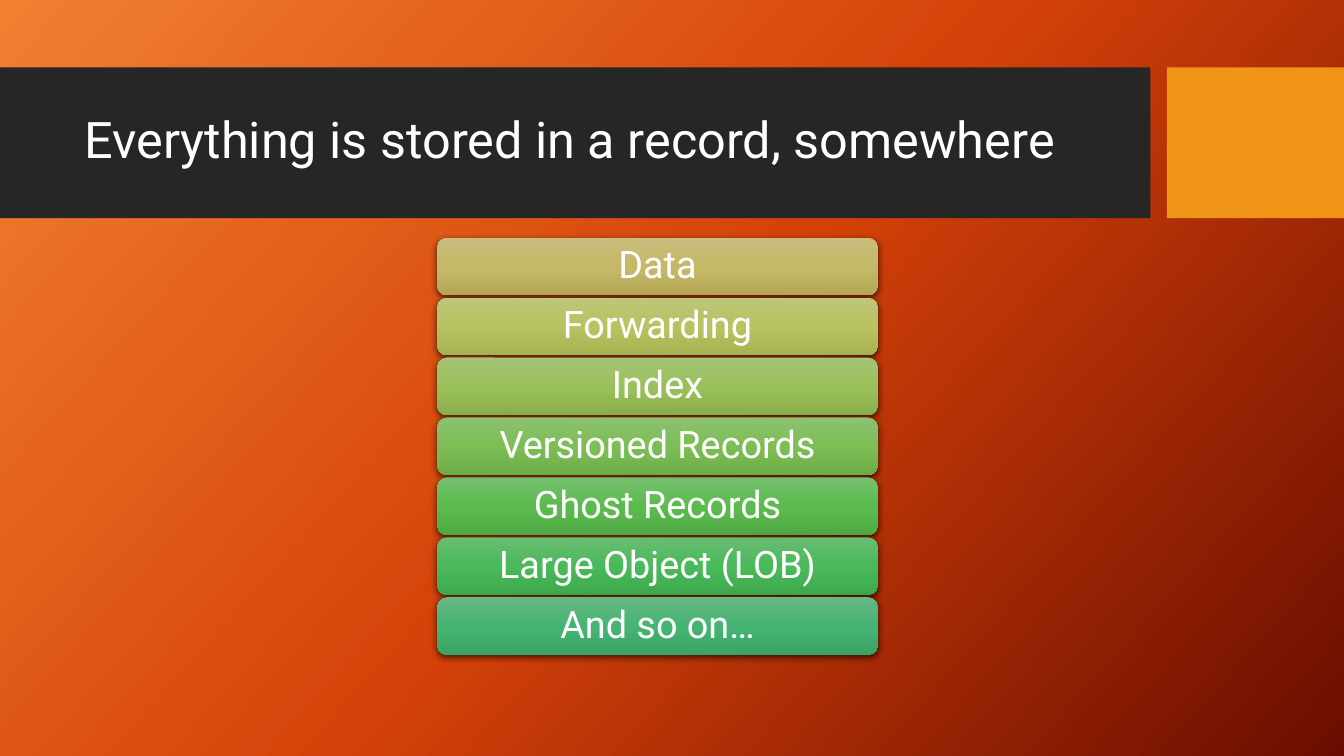
from copy import deepcopy

from lxml.etree import SubElement
from pptx import Presentation
from pptx.dml.color import RGBColor
from pptx.enum.shapes import MSO_SHAPE
from pptx.enum.text import MSO_ANCHOR, MSO_AUTO_SIZE, PP_ALIGN
from pptx.oxml.ns import qn
from pptx.util import Cm, Pt

RECORDS = [
    ("Data", ("C8BE7F", "C5B867", "B4A756")),
    ("Forwarding", ("BDC67A", "B7C361", "A7B251")),
    ("Index", ("A5C476", "9AC05B", "8AAF4D")),
    ("Versioned Records", ("8DC171", "7CBE55", "6DAD47")),
    ("Ghost Records", ("75BF6D", "5CBB4F", "4EAB42")),
    ("Large Object (LOB)", ("69BC73", "4AB95A", "3DA94C")),
    ("And so on…", ("67B884", "46B472", "3AA464")),
]
RECORD_PITCH = 1.51


def colour(value):
    return RGBColor.from_string(value)


def fill_gradient(fill, element, colours, angle):
    """Fill with three evenly spaced colours; the angle runs clockwise."""
    fill.gradient()
    fill.gradient_angle = 360 - angle
    stop_list = next(element.iter(qn("a:gsLst")))
    stop_list.append(deepcopy(stop_list[0]))
    for stop, position, value in zip(fill.gradient_stops, (0, 0.5, 1), colours):
        stop.position = position
        stop.color.rgb = colour(value)


def add_shadow(shape):
    """Cast a soft black shadow straight down."""
    shape.shadow.inherit = False
    effects = shape._element.spPr.find(qn("a:effectLst"))
    shadow = SubElement(effects, qn("a:outerShdw"), blurRad=str(Pt(4.5)),
                        dist=str(Pt(1.5)), dir="5400000", rotWithShape="0")
    black = SubElement(shadow, qn("a:srgbClr"), val="000000")
    SubElement(black, qn("a:alpha"), val="63000")


class SlideBuilder:
    font = "Roboto"
    text_colour = "FFFFFF"

    def __init__(self, slide):
        self.slide = slide

    def background(self, colours, angle):
        fill_gradient(self.slide.background.fill, self.slide._element, colours, angle)

    def shape(self, kind, left, top, width, height):
        shape = self.slide.shapes.add_shape(kind, Cm(left), Cm(top), Cm(width), Cm(height))
        shape.shadow.inherit = False
        shape.line.fill.background()
        return shape

    def block(self, left, width, fill):
        block = self.shape(MSO_SHAPE.RECTANGLE, left, 1.7, width, 3.8)
        block.fill.solid()
        block.fill.fore_color.rgb = colour(fill)

    def set_text(self, shape, text, size, alignment):
        frame = shape.text_frame
        frame.text = text
        frame.word_wrap = True
        frame.auto_size = MSO_AUTO_SIZE.NONE
        frame.vertical_anchor = MSO_ANCHOR.MIDDLE
        para = frame.paragraphs[0]
        para.alignment = alignment
        para.line_spacing = 0.9
        font = para.runs[0].font
        font.name = self.font
        font.size = Pt(size)
        font.color.rgb = colour(self.text_colour)

    def title(self, text):
        title = self.slide.shapes.title
        title.left, title.top, title.width, title.height = Cm(1.88), Cm(2.08), Cm(26.7), Cm(3)
        self.set_text(title, text, 36, PP_ALIGN.LEFT)
        self.slide.shapes._spTree.append(title._element)  # in front of the banner

    def record(self, top, text, colours):
        box = self.shape(MSO_SHAPE.ROUNDED_RECTANGLE, 11.02, top, 11.1, 1.45)
        fill_gradient(box.fill, box._element, colours, 90)
        add_shadow(box)
        self.set_text(box, text, 27, PP_ALIGN.CENTER)
        frame = box.text_frame
        frame.margin_left = frame.margin_right = Cm(0.28)
        frame.margin_top = frame.margin_bottom = Cm(0.15)


def main():
    deck = Presentation()
    deck.slide_width, deck.slide_height = Cm(33.87), Cm(19.05)
    page = SlideBuilder(deck.slides.add_slide(deck.slide_layouts[5]))
    page.background(("F18031", "D54209", "6A0D00"), 42)
    page.block(0, 28.99, "262626")
    page.block(29.41, 4.46, "F09415")
    page.title("Everything is stored in a record, somewhere")
    for row, (text, colours) in enumerate(RECORDS):
        page.record(5.99 + row * RECORD_PITCH, text, colours)
    deck.save("out.pptx")


if __name__ == "__main__":
    main()
